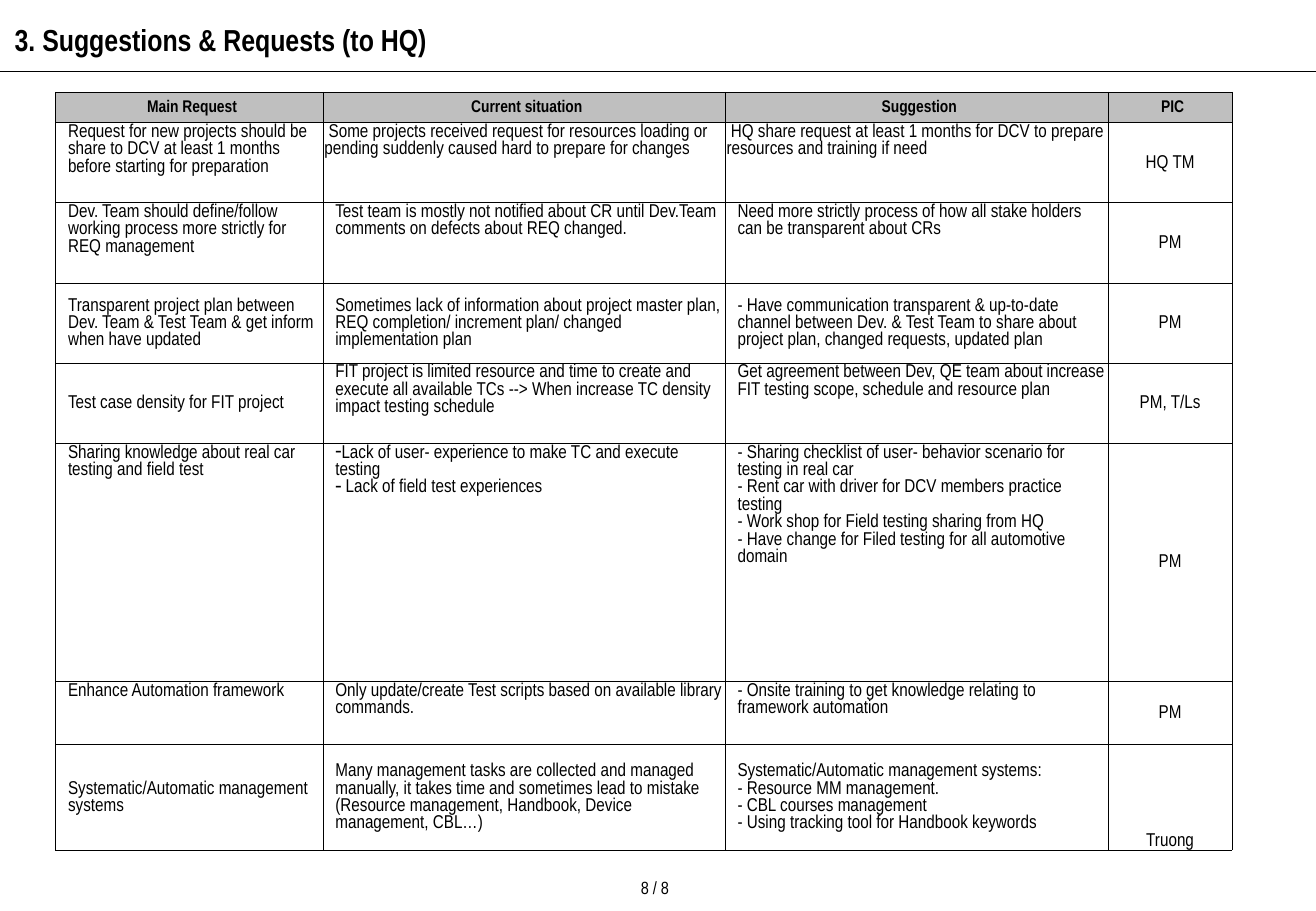
from lxml import etree
from pptx import Presentation
from pptx.dml.color import RGBColor
from pptx.enum.shapes import MSO_CONNECTOR
from pptx.enum.text import MSO_ANCHOR, MSO_AUTO_SIZE, PP_ALIGN
from pptx.oxml.ns import qn
from pptx.util import Inches, Pt

TOP, MIDDLE, BOTTOM = MSO_ANCHOR.TOP, MSO_ANCHOR.MIDDLE, MSO_ANCHOR.BOTTOM
LEFT, CENTER = PP_ALIGN.LEFT, PP_ALIGN.CENTER
BLACK = RGBColor(0x00, 0x00, 0x00)
HEADER_GREY = RGBColor(0xBF, 0xBF, 0xBF)
FONT = "Arial Narrow"

TITLE = "3. Suggestions & Requests (to HQ)"
PAGE = "8 / 8"
HEADERS = ["Main Request", "Current situation", "Suggestion", "PIC"]
COLUMN_WIDTHS = [2.2, 3.31, 3.15, 1.02]
HEADER_HEIGHT = 0.25
PIC_COLUMN = 3
DASH_BULLETED = (5, 1)  # row and column of the cell with real dash bullets

# Row height, anchor of each cell, paragraphs of each cell
REQUESTS = [
    (0.66, [TOP, TOP, TOP, MIDDLE], [
        ["Request for new projects should be share to DCV at least 1 months before starting for preparation"],
        [" Some projects received request for resources loading or pending suddenly caused hard to prepare for changes"],
        [" HQ share request at least 1 months for DCV to prepare resources and training if need"],
        ["HQ TM"]]),
    (0.66, [TOP, TOP, TOP, MIDDLE], [
        ["Dev. Team should define/follow working process more strictly for REQ management"],
        ["Test team is mostly not notified about CR until Dev.Team comments on defects about REQ changed."],
        ["Need more strictly process of how all stake holders can be transparent about CRs"],
        ["PM"]]),
    (0.66, [MIDDLE, MIDDLE, MIDDLE, MIDDLE], [
        ["Transparent project plan between Dev. Team & Test Team & get inform when have updated"],
        ["Sometimes lack of information about project master plan, REQ completion/ increment plan/ "
         "changed implementation plan"],
        ["- Have communication transparent & up-to-date channel between Dev. & Test Team to share about "
         "project plan, changed requests, updated plan"],
        ["PM"]]),
    (0.66, [MIDDLE, TOP, TOP, MIDDLE], [
        ["Test case density for FIT project"],
        ["FIT project is limited resource and time to create and execute all available TCs --> "
         "When increase TC density impact testing schedule"],
        ["Get agreement between Dev, QE team about increase FIT testing scope, schedule and resource plan"],
        ["PM, T/Ls"]]),
    (1.96, [TOP, TOP, TOP, MIDDLE], [
        ["Sharing knowledge about real car testing and field test"],
        ["Lack of user- experience to make TC and execute testing",
         " Lack of field test experiences"],
        ["- Sharing checklist of user- behavior scenario for testing in real car",
         "- Rent car with driver for DCV members practice testing",
         "- Work shop for Field testing sharing from HQ",
         "- Have change for Filed testing for all automotive domain"],
        ["PM"]]),
    (0.52, [TOP, TOP, TOP, MIDDLE], [
        ["Enhance Automation framework"],
        ["Only update/create Test scripts based on available library commands."],
        ["- Onsite training to get knowledge relating to framework automation"],
        ["PM"]]),
    (0.87, [MIDDLE, MIDDLE, MIDDLE, BOTTOM], [
        ["Systematic/Automatic management systems"],
        ["Many management tasks are collected and managed manually, it takes time and sometimes lead to "
         "mistake (Resource management, Handbook, Device management, CBL…)"],
        ["Systematic/Automatic management systems:",
         "- Resource MM management.",
         "- CBL courses management",
         "- Using tracking tool for Handbook keywords"],
        ["Truong"]]),
]


def write(frame, paragraphs, size, bold=False, align=LEFT):
    frame.text = "\n".join(paragraphs)
    for paragraph in frame.paragraphs:
        paragraph.alignment = align
        for run in paragraph.runs:
            run.font.color.rgb = BLACK
            for name, value in {"name": FONT, "size": Pt(size), "bold": bold}.items():
                setattr(run.font, name, value)


def add_dash_bullets(frame):
    for paragraph in frame.paragraphs:
        properties = paragraph._p.get_or_add_pPr()
        properties.set("marL", "0")
        properties.set("indent", "0")
        etree.SubElement(properties, qn("a:buChar"), char="-")


def add_borders(cell):
    properties = cell._tc.get_or_add_tcPr()
    for position, side in enumerate(["a:lnL", "a:lnR", "a:lnT", "a:lnB"]):
        border = etree.Element(qn(side), w=str(Pt(0.5)))
        fill = etree.SubElement(border, qn("a:solidFill"))
        etree.SubElement(fill, qn("a:srgbClr"), val=str(BLACK))
        properties.insert(position, border)


def place(shape, left, top, width, height):
    for name, value in {"left": left, "top": top, "width": width, "height": height}.items():
        setattr(shape, name, Inches(value))


def left_margin(row, column, paragraphs):
    if row == 0:
        return 0.05
    return 0.01 if column == PIC_COLUMN or paragraphs[0].startswith(" ") else 0.1


presentation = Presentation()
presentation.slide_width, presentation.slide_height = Inches(10.83), Inches(7.5)
slide = presentation.slides.add_slide(presentation.slide_layouts[5])

title = slide.shapes.title
place(title, 0.02, 0.12, 3.75, 0.4)
page_number = slide.shapes.add_textbox(Inches(5.17), Inches(7.17), Inches(0.44), Inches(0.28))
for box, text, size, bold, align in [(title, TITLE, 18, True, LEFT),
                                     (page_number, PAGE, 10.5, False, CENTER)]:
    frame = box.text_frame
    write(frame, [text], size, bold, align)
    frame.word_wrap = False
    frame.auto_size = MSO_AUTO_SIZE.SHAPE_TO_FIT_TEXT

title_rule = slide.shapes.add_connector(
    MSO_CONNECTOR.STRAIGHT, 0, Inches(0.59), presentation.slide_width, Inches(0.59))
title_rule.line.color.rgb = BLACK
title_rule.line.width = Pt(0.75)
etree.SubElement(title_rule._element.spPr, qn("a:effectLst"))

rows = [(HEADER_HEIGHT, [MIDDLE] * len(HEADERS), [[header] for header in HEADERS])] + REQUESTS
table = slide.shapes.add_table(
    len(rows), len(HEADERS), Inches(0.46), Inches(0.76),
    Inches(sum(COLUMN_WIDTHS)), Inches(sum(height for height, _, _ in rows))).table
table.first_row = table.horz_banding = False
for column, width in zip(table.columns, COLUMN_WIDTHS):
    column.width = Inches(width)

for r, (height, anchors, texts) in enumerate(rows):
    table.rows[r].height = Inches(height)
    is_header = r == 0
    for c, (anchor, paragraphs) in enumerate(zip(anchors, texts)):
        cell = table.cell(r, c)
        write(cell.text_frame, paragraphs, 10 if is_header else 11, is_header,
              CENTER if is_header or c == PIC_COLUMN else LEFT)
        if (r, c) == DASH_BULLETED:
            add_dash_bullets(cell.text_frame)
        for name, value in {"vertical_anchor": anchor,
                            "margin_left": Inches(left_margin(r, c, paragraphs)),
                            "margin_right": Inches(0.01),
                            "margin_top": Inches(0.01),
                            "margin_bottom": 0}.items():
            setattr(cell, name, value)
        if is_header:
            cell.fill.solid()
            cell.fill.fore_color.rgb = HEADER_GREY
        else:
            cell.fill.background()
        add_borders(cell)

presentation.save("out.pptx")
